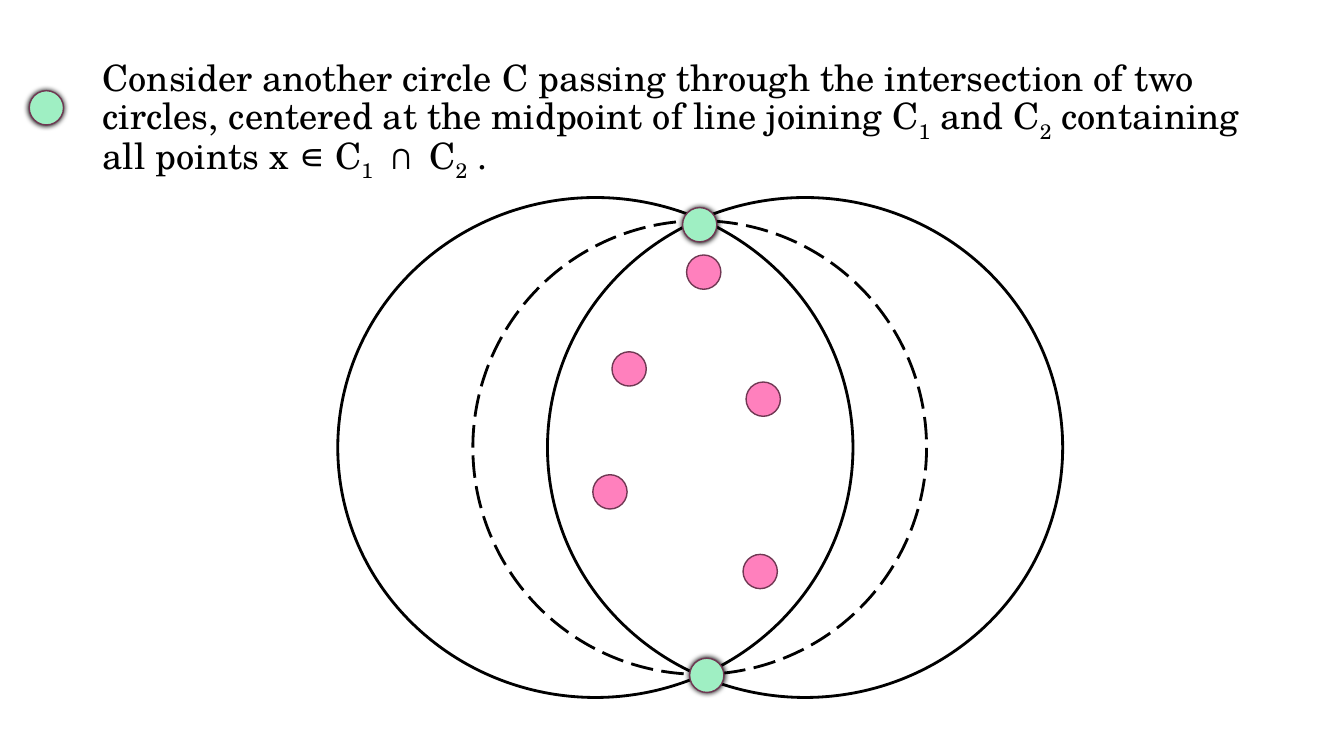
from dataclasses import dataclass

from lxml.etree import SubElement
from pptx import Presentation
from pptx.dml.color import RGBColor
from pptx.enum.dml import MSO_LINE
from pptx.enum.shapes import MSO_SHAPE
from pptx.oxml.ns import qn
from pptx.util import Emu, Pt

PX = 9144


@dataclass(frozen=True)
class Theme:
    """Colours, type and line sizes of the slide."""
    ink: str = "000000"
    inner: str = "FF80BD"
    crossing: str = "9FEFC3"
    rim: str = "703853"
    font: str = "TeX Gyre Schola"
    body: float = 25.9
    circle_line: float = 2
    dot_line: float = 1
    glow: float = 4


THEME = Theme()
DOT = 34
CLAIM = [
    ("Consider another circle C passing through the intersection of two circles, "
     "centered at the midpoint of line joining C", False),
    ("1", True), (" and C", False), ("2", True),
    (" containing all points x ∊ C", False), ("1", True),
    (" ∩ C", False), ("2", True), (" .", False),
]
CROSSING_POINTS = [(342, 10), (349, 457)]
INNER_POINTS = [(346, 57), (272, 153), (405, 183), (253, 275), (402, 354)]


def px(*lengths):
    """Turn px lengths into EMU."""
    return [Emu(n * PX) for n in lengths]


def add_run(p, text, size=THEME.body, color=THEME.ink, sub=False):
    """Append a formatted run to a paragraph."""
    r = p.add_run()
    r.text = text
    r.font.name = THEME.font
    r.font.size = Pt(size)
    r.font.color.rgb = RGBColor.from_string(color)
    if sub:
        r.font._element.set("baseline", "-25000")


def add_ellipse(s, box, line, width, fill=None, dash=None):
    """Draw an ellipse with an optional fill and dash."""
    sp = s.shapes.add_shape(MSO_SHAPE.OVAL, *px(*box))
    sp.shadow.inherit = False
    if fill:
        sp.fill.solid()
        sp.fill.fore_color.rgb = RGBColor.from_string(fill)
    else:
        sp.fill.background()
    sp.line.color.rgb = RGBColor.from_string(line)
    sp.line.width = Pt(width)
    if dash:
        sp.line.dash_style = dash
    return sp


def add_point(s, x, y, fill, glow=False):
    """Draw a point, with a dark halo if asked."""
    sp = add_ellipse(s, (x, y, DOT, DOT), THEME.rim, THEME.dot_line, fill)
    if glow:
        effects = sp._element.spPr.find(qn("a:effectLst"))
        shadow = SubElement(effects, qn("a:outerShdw"), blurRad=str(Pt(THEME.glow)),
                            dist="0", dir="0", algn="ctr", rotWithShape="0")
        SubElement(shadow, qn("a:srgbClr"), val=THEME.ink)


def add_claim(s, x, y, w, h):
    """Write the claim with its marker point on the left."""
    add_point(s, x - 63, y + 32, THEME.crossing, glow=True)
    tf = s.shapes.add_textbox(*px(x, y, w, h)).text_frame
    tf.word_wrap = True
    p = tf.paragraphs[0]
    p.line_spacing = 0.8
    for text, sub in CLAIM:
        add_run(p, text, sub=sub)


def add_diagram(s, x, y, w, h):
    """Draw two overlapping circles, the dashed circle and the points."""
    side, mid = 511, 450
    for left in (x, x + w - side):
        add_ellipse(s, (left, y, side, h), THEME.ink, THEME.circle_line)
    add_ellipse(s, (x + 134, y + (h - mid) // 2, mid, mid), THEME.ink,
                THEME.circle_line, dash=MSO_LINE.LONG_DASH)
    for dx, dy in INNER_POINTS:
        add_point(s, x + dx, y + dy, THEME.inner)
    for dx, dy in CROSSING_POINTS:
        add_point(s, x + dx, y + dy, THEME.crossing, glow=True)


def main():
    """Build and save the slide."""
    prs = Presentation()
    prs.slide_width, prs.slide_height = px(1333, 750)
    s = prs.slides.add_slide(prs.slide_layouts[6])
    add_claim(s, 92, 58, 1183, 126)
    add_diagram(s, 335, 196, 719, 496)
    prs.save("out.pptx")


if __name__ == "__main__":
    main()
